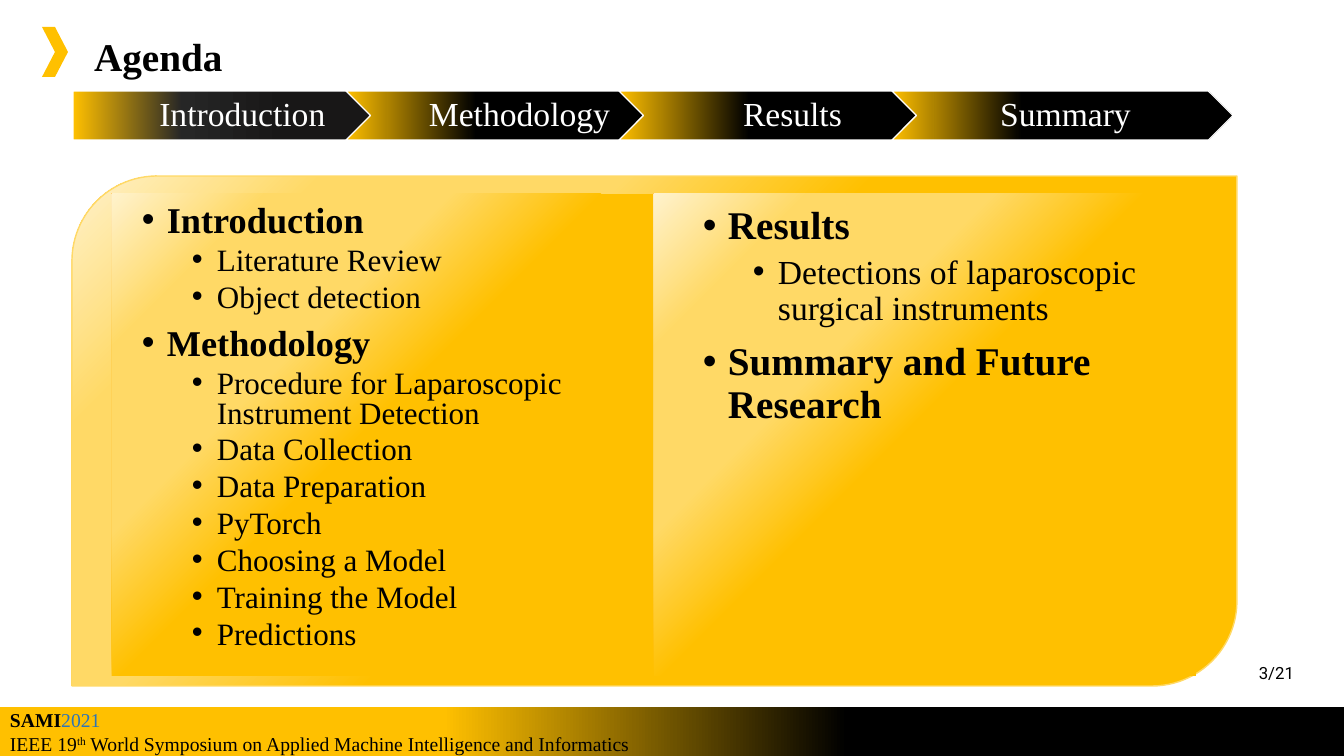
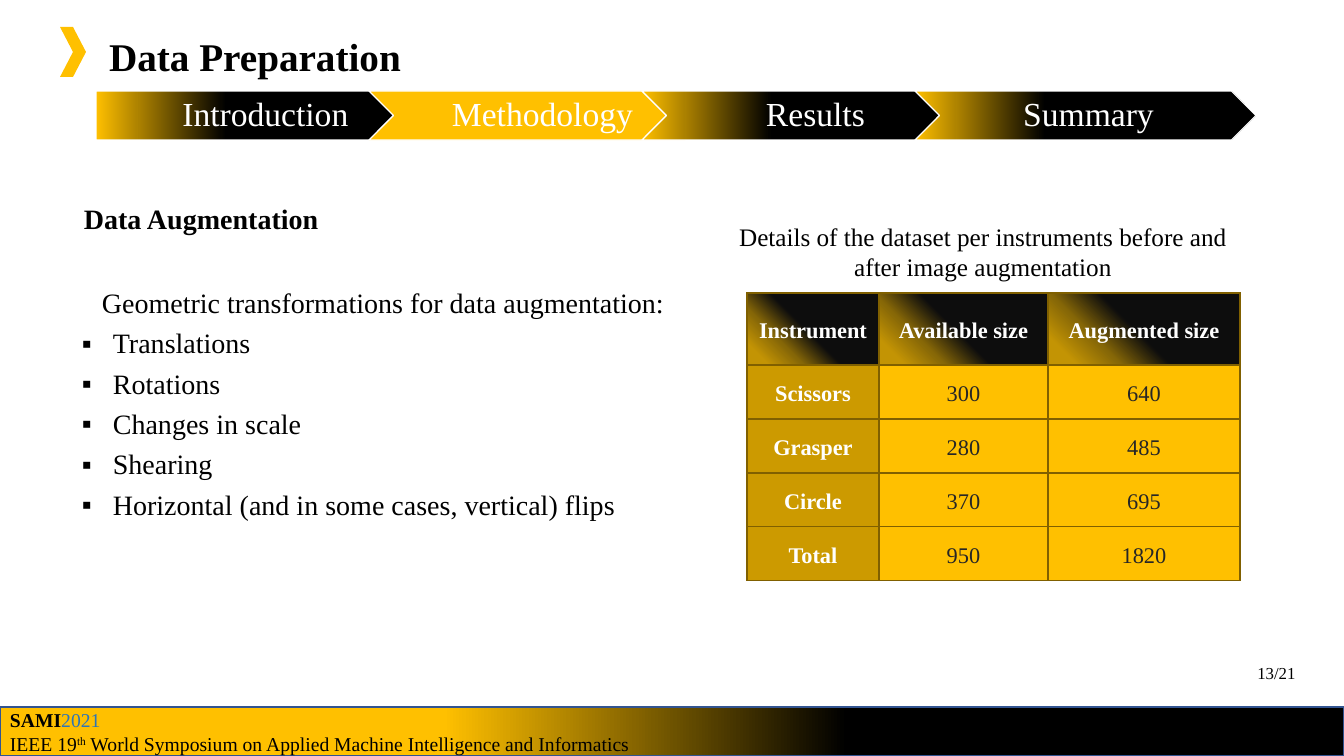
import pptx
import pptx.util
import pptx.dml.color
import pptx.enum.shapes
import pptx.enum.text
import pptx.oxml
import pptx.oxml.ns

PX = 914400 / 100.8
WIDE, HIGH = 1344, 756
SERIF = "Times New Roman"
HUES = {
    "gold": "FFC000", "sand": "FFD966", "cream": "FFF2CC", "black": "000000",
    "white": "FFFFFF", "coal": "262626", "soot": "181717", "night": "0D0D0D",
    "ochre": "CC9A00", "brass": "C39404", "bronze": "866707", "rim": "806000",
    "blue": "2E75B6", "navy": "325491",
}

# A fill is a hue name, or (angle, stops) for a gradient
GLOW = (225, [(52, "gold"), (67, "sand"), (85, "sand"), (100, "cream")])
BAND = (0, [(0, "gold"), (33, "gold"), (63, "black"), (100, "black")])
STEP = (0, [(0, "gold"), (38, "black"), (83, "black")])
FIRST = (0, [(0, "gold"), (32, "coal"), (62, "soot")])
HEAD = (315, [(11, "brass"), (28, "bronze"), (47, "night")])

STEPS = ["Introduction", "Methodology", "Results", "Summary"]
FOOTER = [
    [("SAMI", {"bold": True}), ("2021", {"color": "blue"})],
    [("IEEE 19", {}), ("th", {"raise": 30}),
     (" World Symposium on Applied Machine Intelligence and Informatics", {})],
]
AGENDA = {
    "title": "Agenda", "page": "3/21", "font": "Roboto",
    "mark": 42, "left": 84, "path": 73, "fills": {0: FIRST}, "edge": None,
}
PREP = {
    "title": "Data Preparation", "page": "13/21", "font": SERIF,
    "mark": 60, "left": 99, "path": 96, "fills": {1: "gold"}, "edge": "navy",
}

TOPICS = [
    {"box": (132, 201, 519, 480), "sizes": (25.9, 22.2), "lines": 0.8, "items": [
        (0, "Introduction"),
        (1, "Literature Review"),
        (1, "Object detection"),
        (0, "Methodology"),
        (1, "Procedure for Laparoscopic Instrument Detection"),
        (1, "Data Collection"),
        (1, "Data Preparation"),
        (1, "PyTorch"),
        (1, "Choosing a Model"),
        (1, "Training the Model"),
        (1, "Predictions"),
    ]},
    {"box": (693, 201, 523, 346), "sizes": (28, 24), "lines": 0.9, "items": [
        (0, "Results"),
        (1, "Detections of laparoscopic surgical instruments"),
        (0, "Summary and Future Research"),
    ]},
]
METHODS = ["Translations", "Rotations", "Changes in scale", "Shearing",
           "Horizontal (and in some cases, vertical) flips"]
CAPTION = "Details of the dataset per instruments before and after image augmentation"
COUNTS = [
    ("Instrument", "Available size", "Augmented size"),
    ("Scissors", "300", "640"),
    ("Grasper", "280", "485"),
    ("Circle", "370", "695"),
    ("Total", "950", "1820"),
]

Kind = pptx.enum.shapes.MSO_SHAPE
Align = pptx.enum.text.PP_ALIGN
Anchor = pptx.enum.text.MSO_ANCHOR
Pt = pptx.util.Pt
qn = pptx.oxml.ns.qn
NS = pptx.oxml.ns.nsdecls("a")


def px(*nums):
    return [pptx.util.Emu(round(n * PX)) for n in nums]


def rgb(hue):
    return pptx.dml.color.RGBColor.from_string(HUES[hue])


def xml(text):
    """Parse one drawing element, given without its namespace."""
    tag, rest = text[:-2].split(" ", 1) if " " in text else (text[:-2], "")
    return pptx.oxml.parse_xml(f"<{tag} {NS} {rest}/>")


def apply(thing, looks):
    for key, val in looks.items():
        setattr(thing, key, val)


def paint(thing, node, fill):
    """Fill a shape or cell whose XML element is node."""
    if isinstance(fill, str):
        thing.fill.solid()
        thing.fill.fore_color.rgb = rgb(fill)
        return
    angle, stops = fill
    thing.fill.gradient()
    grad = node.find(".//" + qn("a:gradFill"))
    grad.find(qn("a:lin")).set("ang", str(angle * 60000))
    row = grad.find(qn("a:gsLst"))
    for old in list(row):
        row.remove(old)
    for pos, hue in stops:
        stop = xml(f'a:gs pos="{pos * 1000}"/>')
        stop.append(xml(f'a:srgbClr val="{HUES[hue]}"/>'))
        row.append(stop)


def draw(slide, kind, box, fill, edge=None):
    shape = slide.shapes.add_shape(kind, *px(*box))
    shape.shadow.inherit = False
    paint(shape, shape._element, fill)
    if edge:
        shape.line.color.rgb = rgb(edge)
        shape.line.width = Pt(1)
    else:
        shape.line.fill.background()
    return shape


def write(par, runs, size, looks=None, **font):
    """Add runs, a string or (text, format) pairs, to a paragraph."""
    apply(par, looks or {})
    for text, own in [(runs, {})] if isinstance(runs, str) else runs:
        run = par.add_run()
        run.text = text
        form = {"name": SERIF, "bold": False, "color": "black"} | font | own
        run.font.color.rgb = rgb(form.pop("color"))
        lift = form.pop("raise", 0)
        apply(run.font, form | {"size": Pt(size)})
        if lift:
            run._r.get_or_add_rPr().set("baseline", str(lift * 1000))


def text_box(slide, box, **looks):
    frame = slide.shapes.add_textbox(*px(*box)).text_frame
    apply(frame, {"word_wrap": True} | looks)
    return frame


def new_par(frame, first):
    return frame.paragraphs[0] if first else frame.add_paragraph()


def indent(par, left, hang, sign=None):
    prop = par._p.get_or_add_pPr()
    for key, val in zip(("marL", "indent"), px(left, hang)):
        prop.set(key, str(val))
    if sign:
        prop.append(xml('a:buFont typeface="Arial"/>'))
        prop.append(xml(f'a:buChar char="{sign}"/>'))


def add_path(slide, left, fills):
    for num, name in enumerate(STEPS):
        kind = Kind.CHEVRON if num else Kind.PENTAGON
        box = (left + num * 273, 91, 341, 49)
        step = draw(slide, kind, box, fills.get(num, STEP), "white")
        keys = ("margin_left", "margin_top", "margin_right", "margin_bottom")
        frame = step.text_frame
        apply(frame, dict(zip(keys, px(10 if num else 14, 7, 4, 7))))
        apply(frame, {"vertical_anchor": Anchor.MIDDLE, "word_wrap": True})
        write(frame.paragraphs[0], name, 24,
              {"alignment": Align.CENTER, "line_spacing": 0.9}, color="white")


def add_slide(deck, page):
    """Add a slide with its title, step path, footer and page number."""
    slide = deck.slides.add_slide(deck.slide_layouts[5])
    title = slide.shapes.title
    apply(title, dict(zip(("left", "top", "width", "height"),
                          px(page["left"], 27, 367, 57))))
    apply(title.text_frame, {"vertical_anchor": Anchor.TOP, "word_wrap": True,
                             "auto_size": pptx.enum.text.MSO_AUTO_SIZE.NONE})
    write(title.text_frame.paragraphs[0], page["title"], 28,
          {"alignment": Align.LEFT}, bold=True)
    draw(slide, Kind.CHEVRON, (page["mark"], 27, 26, 50), "gold")
    draw(slide, Kind.RECTANGLE, (0, 707, WIDE, HIGH - 707), BAND, page["edge"])
    foot = text_box(slide, (0, 703, 879, 53))
    for num, runs in enumerate(FOOTER):
        write(new_par(foot, num == 0), runs, 14)
    add_path(slide, page["path"], page["fills"])
    number = text_box(slide, (1209, 645, 135, 56), vertical_anchor=Anchor.MIDDLE)
    write(number.paragraphs[0], page["page"], 12,
          {"alignment": Align.CENTER}, name=page["font"])
    return slide


def add_grid(slide, left, top, cols, rows):
    """Add a table with no style of its own."""
    frame = slide.shapes.add_table(len(rows), len(cols),
                                   *px(left, top, sum(cols), sum(rows)))
    grid = frame.table
    apply(grid, {"first_row": False, "horz_banding": False})
    style = grid._tbl.find(".//" + qn("a:tableStyleId"))
    style.text = "{2D5ABB26-0587-4C30-8999-92F81FD0307C}"
    for col, size in zip(grid.columns, px(*cols)):
        col.width = size
    for row, size in zip(grid.rows, px(*rows)):
        row.height = size
    return grid


def add_border(cell, hue):
    prop = cell._tc.get_or_add_tcPr()
    for side in "LRTB":
        line = xml(f'a:ln{side} w="12700"/>')
        fill = xml("a:solidFill/>")
        fill.append(xml(f'a:srgbClr val="{HUES[hue]}"/>'))
        line.append(fill)
        prop.append(line)


def add_topics(slide):
    draw(slide, Kind.ROUND_2_DIAG_RECTANGLE, (72, 176, 1165, 510), GLOW, "sand")
    for cell in add_grid(slide, 112, 194, [542, 542], [482]).iter_cells():
        paint(cell, cell._tc, GLOW)
    for topic in TOPICS:
        frame = text_box(slide, topic["box"])
        for num, (level, text) in enumerate(topic["items"]):
            par = new_par(frame, num == 0)
            indent(par, 75 if level else 25, -25, "•")
            gap = (10, 5)[level] if num else 0
            write(par, text, topic["sizes"][level],
                  {"level": level, "line_spacing": topic["lines"],
                   "space_before": Pt(gap)}, bold=level == 0)


def add_methods(slide):
    head = text_box(slide, (74, 197, 285, 44))
    write(head.paragraphs[0], "Data Augmentation", 20, bold=True)
    frame = text_box(slide, (72, 283, 639, 246))
    looks = {"line_spacing": 0.95, "space_after": Pt(6)}
    intro = frame.paragraphs[0]
    indent(intro, 0, 20)
    write(intro, "Geometric transformations for data augmentation:", 20, looks)
    for text in METHODS:
        par = frame.add_paragraph()
        indent(par, 31, -31, "▪")
        write(par, text, 20, looks)


def add_counts(slide):
    note = text_box(slide, (726, 216, 514, 70))
    write(note.paragraphs[0], CAPTION, 18, {"alignment": Align.CENTER})
    grid = add_grid(slide, 747, 293, [132, 169, 192], [72] + [54] * 4)
    pads = dict.fromkeys(("margin_left", "margin_right",
                          "margin_top", "margin_bottom"), px(11)[0])
    for y, row in enumerate(COUNTS):
        for x, text in enumerate(row):
            cell = grid.cell(y, x)
            label = y == 0 or x == 0
            add_border(cell, "rim")
            paint(cell, cell._tc, HEAD if y == 0 else "gold" if x else "ochre")
            apply(cell, pads | {"vertical_anchor": Anchor.MIDDLE})
            write(cell.text_frame.paragraphs[0], text, 16,
                  {"alignment": Align.CENTER, "line_spacing": 1.15},
                  bold=label, color="white" if label else "coal")


def main():
    deck = pptx.Presentation()
    deck.slide_width, deck.slide_height = px(WIDE, HIGH)
    add_topics(add_slide(deck, AGENDA))
    prep = add_slide(deck, PREP)
    add_methods(prep)
    add_counts(prep)
    deck.save("out.pptx")


if __name__ == "__main__":
    main()
